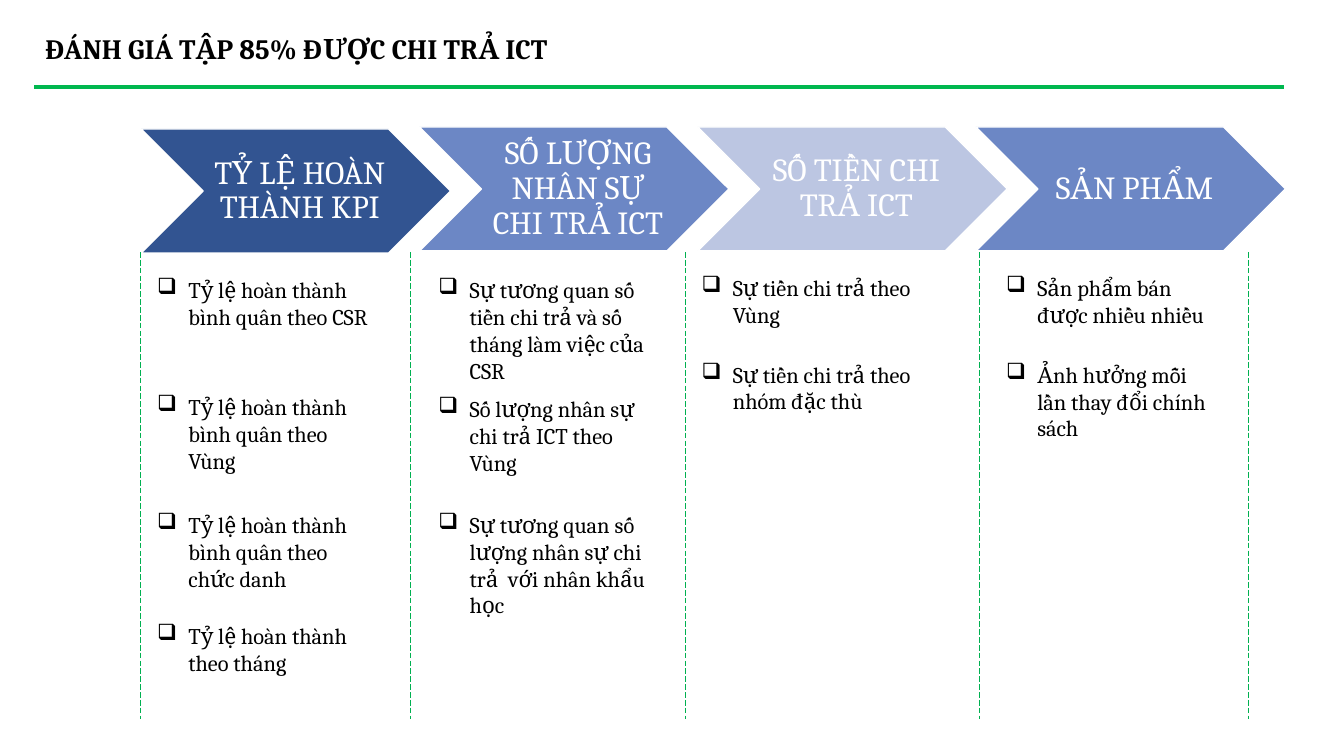
import pptx
import pptx.dml.color
import pptx.enum.dml
import pptx.enum.shapes
import pptx.enum.text
import pptx.oxml.ns
import pptx.util
from lxml import etree

RGB = pptx.dml.color.RGBColor
BLACK = RGB(0x00, 0x00, 0x00)
WHITE = RGB(0xFF, 0xFF, 0xFF)
NAVY = RGB(0x32, 0x54, 0x91)
BLUE = RGB(0x6C, 0x87, 0xC5)
PALE = RGB(0xBC, 0xC6, 0xE2)
GREEN = RGB(0x00, 0xB7, 0x4F)
LEAF = RGB(0x00, 0xB0, 0x50)

PX = 9144  # 100 px to the inch
Pt = pptx.util.Pt
Dash = pptx.enum.dml.MSO_LINE
Align = pptx.enum.text.PP_ALIGN
Anchor = pptx.enum.text.MSO_ANCHOR
Fit = pptx.enum.text.MSO_AUTO_SIZE
qn = pptx.oxml.ns.qn


def write(frame, text, size, color, bold=False):
    """Add one run to the first paragraph and return that paragraph."""
    frame.word_wrap = True
    para = frame.paragraphs[0]
    run = para.add_run()
    run.text = text
    font = run.font
    font.name, font.size, font.bold = "Cambria", Pt(size), bold
    font.color.rgb = color
    return para


def rule(x1, y1, x2, y2, color, width, dash=Dash.SOLID):
    """Draw a straight line without a shadow."""
    line = slide.shapes.add_connector(
        pptx.enum.shapes.MSO_CONNECTOR.STRAIGHT, x1 * PX, y1 * PX, x2 * PX, y2 * PX)
    line.line.color.rgb = color
    line.line.width = Pt(width)
    line.line.dash_style = dash
    etree.SubElement(line._element.spPr, qn("a:effectLst"))


deck = pptx.Presentation()
deck.slide_width, deck.slide_height = 1333 * PX, 750 * PX
slide = deck.slides.add_slide(deck.slide_layouts[5])

rule(34, 86, 1274, 86, GREEN, 3)

title = slide.shapes.title
title.left, title.top, title.width, title.height = 35 * PX, 26 * PX, 738 * PX, 44 * PX
frame = title.text_frame
frame.auto_size = Fit.NONE
frame.vertical_anchor = Anchor.TOP
para = write(frame, "ĐÁNH GIÁ TẬP 85% ĐƯỢC CHI TRẢ ICT", 20, BLACK, True)
para.alignment = Align.LEFT

# Header chevrons, evenly spaced
heads = [
    ("TỶ LỆ HOÀN THÀNH KPI", NAVY, 128),
    ("SỐ LƯỢNG NHÂN SỰ CHI TRẢ ICT", BLUE, 126),
    ("SỐ TIỀN CHI TRẢ ICT", PALE, 126),
    ("SẢN PHẨM", BLUE, 126),
]
for i, (text, color, top) in enumerate(heads):
    left = 140 + 276 * i
    arrow = slide.shapes.add_shape(
        pptx.enum.shapes.MSO_SHAPE.CHEVRON, left * PX, top * PX, 307 * PX, 123 * PX)
    arrow.shadow.inherit = False
    arrow.fill.solid()
    arrow.fill.fore_color.rgb = color
    arrow.line.color.rgb = WHITE
    arrow.line.width = Pt(1)

    label = slide.shapes.add_textbox((left + 62) * PX, top * PX, 184 * PX, 123 * PX)
    frame = label.text_frame
    frame.vertical_anchor = Anchor.MIDDLE
    frame.margin_left = 10 * PX
    frame.margin_top = frame.margin_right = frame.margin_bottom = 3 * PX
    para = write(frame, text, 23, WHITE)
    para.alignment = Align.CENTER
    para.line_spacing = 0.9

for x in (139, 407, 680, 971, 1238):
    rule(x, 250, x, 713, LEAF, 0.5, Dash.LONG_DASH)

# Per column: left edge, then (top, height, text) of each point
columns = [
    (146, [
        (269, 91, "Tỷ lệ hoàn thành bình quân theo CSR"),
        (385, 91, "Tỷ lệ hoàn thành bình quân theo Vùng"),
        (502, 91, "Tỷ lệ hoàn thành bình quân theo chức danh"),
        (612, 64, "Tỷ lệ hoàn thành theo tháng"),
    ]),
    (425, [
        (269, 118, "Sự tương quan số tiền chi trả và số tháng làm việc của CSR"),
        (387, 91, "Số lượng nhân sự chi trả ICT theo Vùng"),
        (502, 118, "Sự tương quan số lượng nhân sự chi trả  với nhân khẩu học"),
    ]),
    (686, [
        (267, 64, "Sự tiền chi trả theo Vùng"),
        (353, 64, "Sự tiền chi trả theo nhóm đặc thù"),
    ]),
    (988, [
        (267, 64, "Sản phẩm bán được nhiều nhiều"),
        (353, 91, "Ảnh hưởng mỗi lần thay đổi chính sách"),
    ]),
]
for left, points in columns:
    for top, height, text in points:
        box = slide.shapes.add_textbox(left * PX, top * PX, 232 * PX, height * PX)
        box.text_frame.auto_size = Fit.SHAPE_TO_FIT_TEXT
        para = write(box.text_frame, text, 16, BLACK)
        props = para._p.get_or_add_pPr()
        props.set("marL", str(31 * PX))
        props.set("indent", str(-31 * PX))
        etree.SubElement(props, qn("a:buChar")).set("char", "❑")

deck.save("out.pptx")
